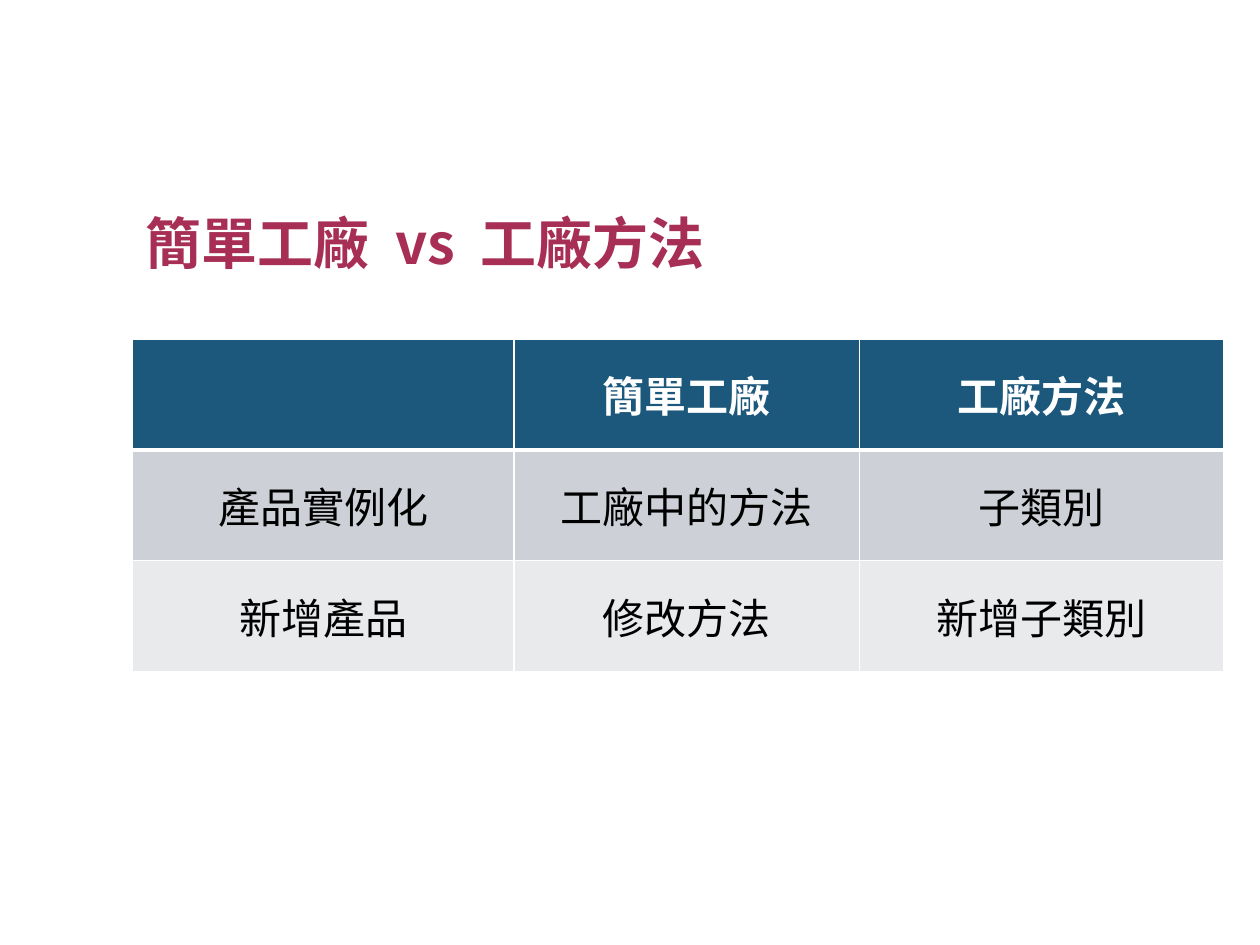
from lxml import etree
from pptx import Presentation
from pptx.dml.color import RGBColor
from pptx.enum.text import MSO_ANCHOR, PP_ALIGN
from pptx.oxml.ns import qn
from pptx.util import Inches, Pt

MIDDLE = MSO_ANCHOR.MIDDLE
CENTER = PP_ALIGN.CENTER
ROSE = RGBColor(0xA7, 0x2F, 0x56)
NAVY = RGBColor(0x1B, 0x58, 0x7C)
GREY = RGBColor(0xCD, 0xD1, 0xD7)
PALE = RGBColor(0xE8, 0xEA, 0xEC)
WHITE = RGBColor(0xFF, 0xFF, 0xFF)
BLACK = RGBColor(0, 0, 0)
SANS = "Noto Sans CJK TC"
SERIF = "Times New Roman"

TITLE = {"name": SANS, "size": Pt(32), "bold": True, "color": ROSE}
HEAD = {"name": SERIF, "size": Pt(24), "bold": True, "color": WHITE}
BODY = {**HEAD, "bold": False, "color": BLACK}
ROWS = [
    (("", "簡單工廠", "工廠方法"), HEAD, NAVY),
    (("產品實例化", "工廠中的方法", "子類別"), BODY, GREY),
    (("新增產品", "修改方法", "新增子類別"), BODY, PALE),
]


class Deck:
    """Hold the shared style and the current slide."""

    def __init__(self, slide):
        self.slide = slide
        self.east = SANS
        self.edge = WHITE
        self.gap = Pt(7)

    def label(self, para, text, form):
        run = para.add_run()
        run.text = text
        for key, value in form.items():
            if key == "color":
                run.font.color.rgb = value
            else:
                setattr(run.font, key, value)
        props = run._r.get_or_add_rPr()
        etree.SubElement(props, qn("a:ea"), typeface=self.east)
        if text == " ":
            props.set("spc", str(int(self.gap.pt * 100)))

    def title(self, parts, box, form):
        frame = self.slide.shapes.add_textbox(*map(Inches, box)).text_frame
        frame.word_wrap = True
        frame.vertical_anchor = MIDDLE
        para = frame.paragraphs[0]
        para.line_spacing = 1.5
        for part in parts:
            self.label(para, part, form)

    def border(self, cell, widths):
        props = cell._tc.get_or_add_tcPr()
        for side, width in widths.items():
            line = etree.SubElement(props, qn(f"a:ln{side}"), w=str(Pt(width)))
            fill = etree.SubElement(line, qn("a:solidFill"))
            etree.SubElement(fill, qn("a:srgbClr"), val=str(self.edge))

    def table(self, rows, box, widths):
        shape = self.slide.shapes.add_table(len(rows), len(widths), *map(Inches, box))
        table = shape.table
        for col, width in zip(table.columns, widths):
            col.width = Inches(width)
        for i, (texts, form, fill) in enumerate(rows):
            lines = {"L": 1, "R": 1, "T": 3 if i == 1 else 1, "B": 3 if i == 0 else 1}
            for j, text in enumerate(texts):
                cell = table.cell(i, j)
                self.border(cell, lines)
                cell.fill.solid()
                cell.fill.fore_color.rgb = fill
                cell.vertical_anchor = MIDDLE
                para = cell.text_frame.paragraphs[0]
                para.alignment = CENTER
                if text:
                    self.label(para, text, form)


def main():
    prs = Presentation()
    prs.slide_width, prs.slide_height = Inches(10), Inches(7.5)
    deck = Deck(prs.slides.add_slide(prs.slide_layouts[6]))
    deck.title(("簡單工廠", " ", "vs", " ", "工廠方法"), (1.06, 1.39, 8.66, 0.79), TITLE)
    deck.table(ROWS, (1.05, 2.69, 8.66, 2.64), (3.03, 2.74, 2.89))
    prs.save("out.pptx")


if __name__ == "__main__":
    main()
